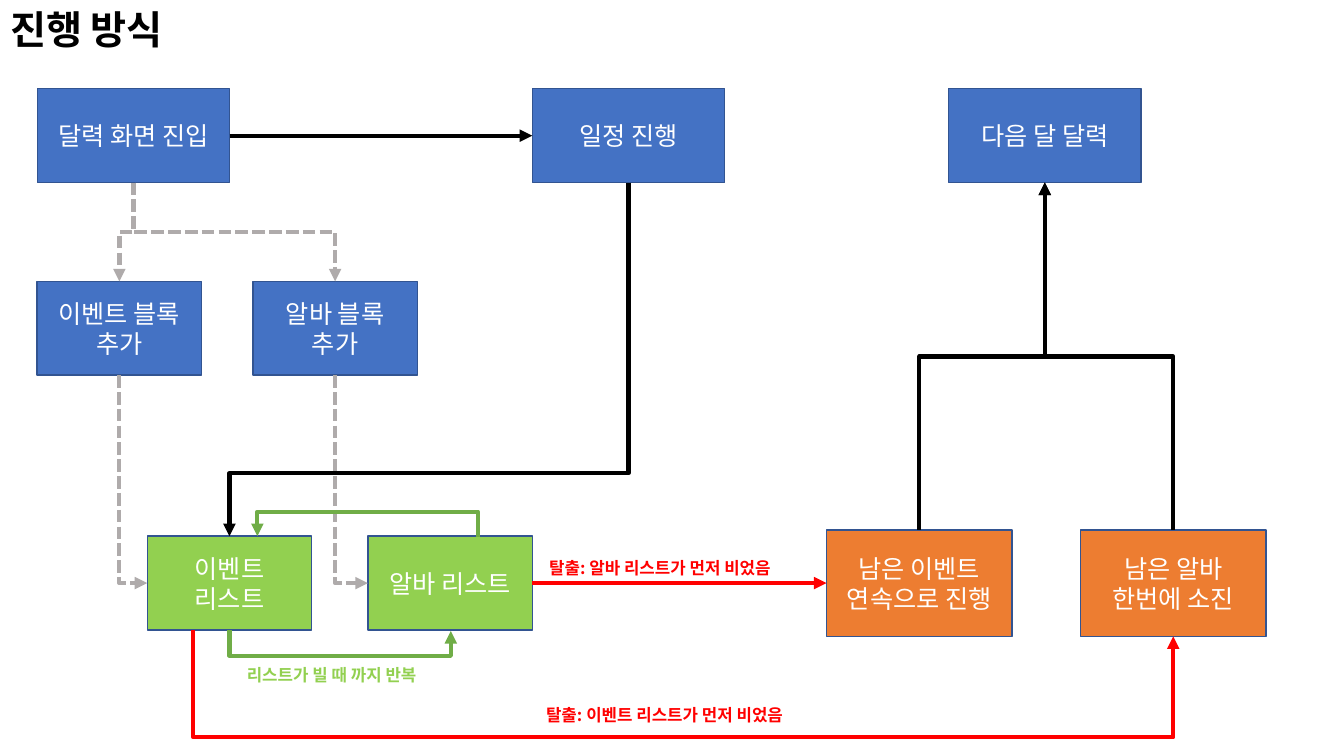
from lxml import etree
from pptx import Presentation
from pptx.dml.color import RGBColor
from pptx.enum.dml import MSO_LINE
from pptx.enum.shapes import MSO_CONNECTOR, MSO_SHAPE
from pptx.enum.text import MSO_ANCHOR, MSO_AUTO_SIZE, PP_ALIGN
from pptx.oxml.ns import qn
from pptx.util import Pt

RECTANGLE = MSO_SHAPE.RECTANGLE
STRAIGHT, ELBOW = MSO_CONNECTOR.STRAIGHT, MSO_CONNECTOR.ELBOW
DASHED = MSO_LINE.SQUARE_DOT
LEFT, CENTER = PP_ALIGN.LEFT, PP_ALIGN.CENTER
TOP, MIDDLE = MSO_ANCHOR.TOP, MSO_ANCHOR.MIDDLE
NO_FIT, GROW = MSO_AUTO_SIZE.NONE, MSO_AUTO_SIZE.SHAPE_TO_FIT_TEXT
SIDE_TOP, SIDE_LEFT, SIDE_BOTTOM, SIDE_RIGHT = range(4)

FONT = "Noto Sans CJK KR"
BLACK, WHITE, GRAY, RED = "000000", "FFFFFF", "AFABAB", "FF0000"
BLUE, LIME, GREEN, ORANGE, OUTLINE = "4472C4", "92D050", "70AD47", "ED7D31", "325491"


def color(hex_string):
    return RGBColor.from_string(hex_string)


def point_on(shape, side, fraction=0.5):
    """Point in points on the top or bottom side, or the middle of the left one."""
    if side == SIDE_LEFT:
        return shape.left.pt, shape.top.pt + shape.height.pt / 2
    y = shape.top.pt + (shape.height.pt if side == SIDE_BOTTOM else 0)
    return shape.left.pt + shape.width.pt * fraction, y


class FlowSlide:
    def __init__(self, slide):
        self.slide = slide

    def add_text(self, shape, text, size, hex_string, bold=False, align=LEFT, anchor=TOP):
        frame = shape.text_frame
        frame.vertical_anchor = anchor
        paragraph = frame.paragraphs[0]
        paragraph.alignment = align
        run = paragraph.add_run()
        run.text = text
        run.font.size = Pt(size)
        run.font.bold = bold
        run.font.color.rgb = color(hex_string)
        run.font.name = FONT
        properties = run._r.get_or_add_rPr()
        etree.SubElement(properties, qn("a:ea")).set("typeface", FONT)

    def title(self, text, width, height):
        title = self.slide.shapes.title
        title.left, title.top = Pt(0), Pt(0)
        title.width, title.height = Pt(width), Pt(height)
        title.text_frame.word_wrap = False
        title.text_frame.auto_size = NO_FIT
        self.add_text(title, text, 28, BLACK, bold=True)

    def box(self, text, left, top, width, height, fill):
        shape = self.slide.shapes.add_shape(
            RECTANGLE, Pt(left), Pt(top), Pt(width), Pt(height))
        shape.shadow.inherit = False
        shape.fill.solid()
        shape.fill.fore_color.rgb = color(fill)
        shape.line.color.rgb = color(OUTLINE)
        shape.line.width = Pt(1)
        shape.text_frame.word_wrap = True
        self.add_text(shape, text, 18, WHITE, align=CENTER, anchor=MIDDLE)
        return shape

    def label(self, text, left, top, width, hex_string):
        shape = self.slide.shapes.add_textbox(Pt(left), Pt(top), Pt(width), Pt(21.6))
        shape.text_frame.word_wrap = False
        shape.text_frame.auto_size = GROW
        self.add_text(shape, text, 12, hex_string, bold=True)

    def style_arrow(self, connector, hex_string, dashed=False):
        connector.line.color.rgb = color(hex_string)
        connector.line.width = Pt(3)
        if dashed:
            connector.line.dash_style = DASHED
        properties = connector._element.spPr
        tail = etree.SubElement(properties.find(qn("a:ln")), qn("a:tailEnd"))
        tail.set("type", "triangle")
        etree.SubElement(properties, qn("a:effectLst"))

    def straight(self, source, target, hex_string):
        connector = self.slide.shapes.add_connector(STRAIGHT, 0, 0, 0, 0)
        connector.begin_connect(source, SIDE_RIGHT)
        connector.end_connect(target, SIDE_LEFT)
        self.style_arrow(connector, hex_string)

    def elbow(self, start, end, hex_string, bend_y=None, dashed=False):
        """Leaves vertically, turns at bend_y; without bend_y it turns once, at the end."""
        (x1, y1), (x2, y2) = start, end
        run, rise = abs(x2 - x1), abs(y2 - y1)
        connector = self.slide.shapes.add_connector(ELBOW, 0, 0, 0, 0)
        # The frame is laid on its side around the common centre
        connector.left = Pt((x1 + x2 - rise) / 2)
        connector.top = Pt((y1 + y2 - run) / 2)
        connector.width, connector.height = Pt(rise), Pt(run)
        upward = y2 < y1
        quarter = (x2 - x1) * (y2 - y1) < 0
        frame = connector._element.spPr.find(qn("a:xfrm"))
        frame.set("rot", str((90 if quarter else 270) * 60000))
        frame.set("flipH", str(int(quarter == upward)))
        frame.set("flipV", str(int(upward)))
        geometry = connector._element.spPr.find(qn("a:prstGeom"))
        if bend_y is None:
            geometry.set("prst", "bentConnector2")
        else:
            guide = etree.SubElement(geometry.find(qn("a:avLst")), qn("a:gd"))
            guide.set("name", "adj1")
            guide.set("fmla", f"val {round((bend_y - y1) / (y2 - y1) * 100000)}")
        self.style_arrow(connector, hex_string, dashed)


def main():
    presentation = Presentation()
    presentation.slide_width, presentation.slide_height = Pt(960), Pt(540)
    flow = FlowSlide(presentation.slides.add_slide(presentation.slide_layouts[5]))
    flow.title("진행 방식", 137.5, 41)

    # Steps
    enter, schedule, next_month = [
        flow.box(text, left, 63.4, 137.5, 67, BLUE)
        for text, left in (("달력 화면 진입", 26.6), ("일정 진행", 380.2),
                           ("다음 달 달력", 677.5))]
    event_block, job_block = [
        flow.box(text, left, 201, 117.4, 67, BLUE)
        for text, left in (("이벤트 블록 추가", 26.6), ("알바 블록 추가", 180.7))]
    event_list, job_list = [
        flow.box(text, left, 383, 117.4, 67, LIME)
        for text, left in (("이벤트 리스트", 105.2), ("알바 리스트", 262.8))]

    # Adding blocks to the lists
    for block, target in ((event_block, event_list), (job_block, job_list)):
        flow.elbow(point_on(enter, SIDE_BOTTOM), point_on(block, SIDE_TOP),
                   GRAY, 165.7, dashed=True)
        flow.elbow(point_on(block, SIDE_BOTTOM), point_on(target, SIDE_LEFT),
                   GRAY, dashed=True)

    # Running the schedule
    flow.straight(enter, schedule, BLACK)
    flow.elbow(point_on(schedule, SIDE_BOTTOM), point_on(event_list, SIDE_TOP),
               BLACK, 338)

    # Loop between the lists
    x, y = point_on(job_list, SIDE_BOTTOM)
    flow.elbow(point_on(event_list, SIDE_BOTTOM), (x + 0.5, y + 0.7), GREEN, 468.2)
    x, y = point_on(job_list, SIDE_TOP, 0.67)
    flow.elbow((x, y + 0.7), point_on(event_list, SIDE_TOP, 0.67), GREEN, 365.7)

    # Ways out of the loop
    rest_events, rest_jobs = [
        flow.box(text, left, 378.5, 132.5, 76, ORANGE)
        for text, left in (("남은 이벤트 연속으로 진행", 590.4),
                           ("남은 알바 한번에 소진", 771.8))]
    flow.straight(job_list, rest_events, RED)
    flow.elbow(point_on(event_list, SIDE_BOTTOM, 0.28),
               point_on(rest_jobs, SIDE_BOTTOM), RED, 526.5)
    for rest in (rest_events, rest_jobs):
        flow.elbow(point_on(rest, SIDE_TOP), point_on(next_month, SIDE_BOTTOM),
                   BLACK, 254.6)

    # Labels
    flow.label("리스트가 빌 때 까지 반복", 169.2, 471.6, 152.6, LIME)
    flow.label("탈출: 이벤트 리스트가 먼저 비었음", 383, 499.7, 204.5, RED)
    flow.label("탈출: 알바 리스트가 먼저 비었음", 385.2, 394.6, 192.2, RED)

    presentation.save("out.pptx")


if __name__ == "__main__":
    main()
